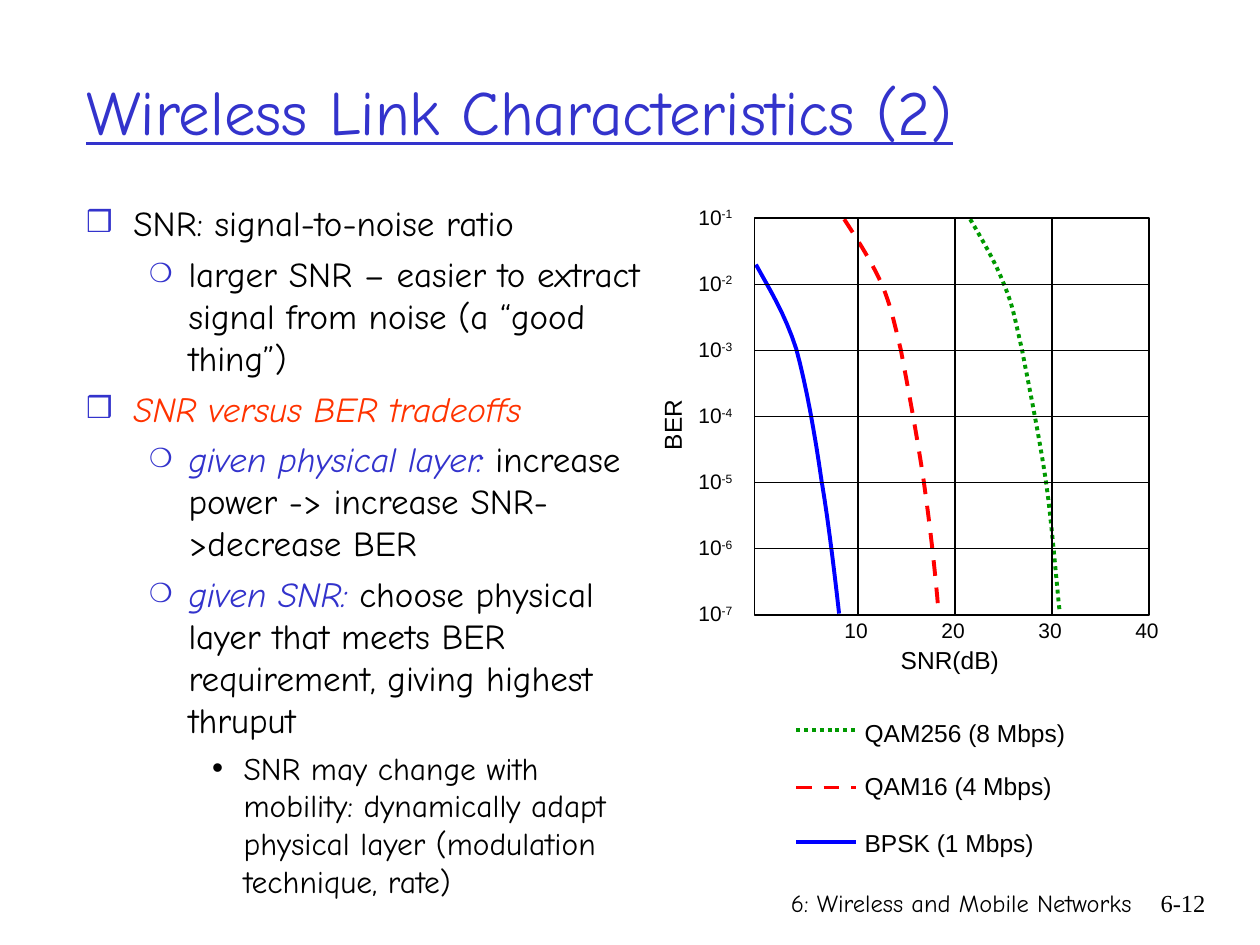
"""Build the slide on wireless link characteristics: SNR versus BER."""
from lxml.etree import SubElement
from pptx import Presentation
from pptx.dml.color import RGBColor
from pptx.enum.dml import MSO_LINE_DASH_STYLE as Dash
from pptx.enum.shapes import MSO_CONNECTOR, MSO_SHAPE
from pptx.enum.text import MSO_ANCHOR, MSO_AUTO_SIZE as Fit, PP_ALIGN as Align
from pptx.oxml.ns import qn
from pptx.util import Pt

COLORS = {"black": "000000", "indigo": "3333CC", "orange": "FF3300",
          "blue": "0000FF", "red": "FF0000", "green": "009900"}

prs = Presentation()
prs.slide_width, prs.slide_height = Pt(720), Pt(540)
slide = prs.slides.add_slide(prs.slide_layouts[1])
shapes = slide.shapes


def add_run(paragraph, text, size, font, color="black"):
    run = paragraph.add_run()
    run.text = text
    run.font.size, run.font.name = Pt(size), font
    run.font.color.rgb = RGBColor.from_string(COLORS[color])
    return run


def add_label(text, left, top, width, height, size=12, font="Arial", wrap=False):
    label = shapes.add_textbox(Pt(left), Pt(top), Pt(width), Pt(height))
    label.text_frame.word_wrap = wrap
    label.text_frame.auto_size = Fit.NONE if wrap else Fit.SHAPE_TO_FIT_TEXT
    paragraph = label.text_frame.paragraphs[0]
    paragraph.alignment = Align.RIGHT if wrap else Align.LEFT
    add_run(paragraph, text, size, font)
    return label


add_label("6: Wireless and Mobile Networks", 350, 504, 304, 36, 14, "Comic Neue", True)
add_label("6-12", 643, 504, 53, 36, 14, "Times New Roman", True)

title = shapes.title
title.left, title.top, title.width, title.height = Pt(42), Pt(18), Pt(612), Pt(90)
title.text_frame.vertical_anchor = MSO_ANCHOR.MIDDLE
title.text_frame.auto_size = Fit.NONE
heading = title.text_frame.paragraphs[0]
heading.alignment = Align.LEFT
add_run(heading, "Wireless Link Characteristics (2)", 36, "Comic Neue", "indigo").font.underline = True

body = slide.placeholders[1]
body.left, body.top, body.width, body.height = Pt(42), Pt(111.6), Pt(337), Pt(409)
body.text_frame.auto_size = Fit.NONE
levels = [
    dict(size=20, before=5, margin=27, hang=27, bullet="\u2752", color="indigo", percent=85),
    dict(size=20, before=5, margin=58.5, hang=22.5, bullet="\u274d", color="indigo", percent=75),
    dict(size=18, before=4.5, margin=90, hang=18, bullet="\u2022", color="black", percent=100),
]
points = [
    (0, [("SNR: signal-to-noise ratio", "black")]),
    (1, [("larger SNR – easier to extract signal from noise (a “good thing”)", "black")]),
    (0, [("SNR versus BER tradeoffs", "orange")]),
    (1, [("given physical layer:", "indigo"),
         (" increase power -> increase SNR->decrease BER", "black")]),
    (1, [("given SNR:", "indigo"),
         (" choose physical layer that meets BER requirement, giving highest thruput", "black")]),
    (2, [("SNR may change with mobility: dynamically adapt physical layer "
          "(modulation technique, rate)", "black")]),
]
for index, (level, parts) in enumerate(points):
    style = levels[level]
    point = body.text_frame.add_paragraph() if index else body.text_frame.paragraphs[0]
    point.level = level
    point.space_before = Pt(style["before"])
    for text, color in parts:
        add_run(point, text, style["size"], "Comic Neue", color).font.italic = color != "black"
    props = point._p.get_or_add_pPr()
    props.set("marL", str(Pt(style["margin"])))
    props.set("indent", str(-Pt(style["hang"])))
    SubElement(SubElement(props, qn("a:buClr")), qn("a:srgbClr")).set("val", COLORS[style["color"]])
    SubElement(props, qn("a:buSzPct")).set("val", str(style["percent"] * 1000))
    SubElement(props, qn("a:buChar")).set("char", style["bullet"])

curves = [
    ("blue", None, [(6, 2.1), (6.11, 2.3), (6.23, 2.49), (6.32, 2.77), (6.4, 3.06), (6.47, 3.46),
                    (6.52, 3.81), (6.58, 4.16), (6.64, 4.69), (6.66, 4.87)]),
    ("red", Dash.DASH, [(6.7, 1.74), (6.81, 1.91), (6.92, 2.08), (7, 2.26), (7.07, 2.43), (7.09, 2.53),
                        (7.15, 2.78), (7.2, 3.04), (7.28, 3.47), (7.33, 3.81), (7.38, 4.16),
                        (7.42, 4.51), (7.45, 4.87)]),
    ("green", Dash.ROUND_DOT, [(7.7, 1.74), (7.8, 1.91), (7.9, 2.08), (7.97, 2.26), (8.04, 2.43),
                               (8.05, 2.51), (8.11, 2.77), (8.16, 3.03), (8.25, 3.47), (8.3, 3.81),
                               (8.35, 4.16), (8.39, 4.68), (8.41, 4.85)]),
]
STEPS = 8
for color, dash, knots in curves:
    trace = [knots[0]]
    for first in range(0, len(knots) - 1, 3):
        bezier = knots[first:first + 4]
        for step in range(1, STEPS + 1):
            t = step / STEPS
            weights = ((1 - t) ** 3, 3 * t * (1 - t) ** 2, 3 * t * t * (1 - t), t ** 3)
            trace.append([sum(w * knot[axis] for w, knot in zip(weights, bezier)) for axis in (0, 1)])
    trace = [(Pt(x * 72), Pt(y * 72)) for x, y in trace]
    builder = shapes.build_freeform(*trace[0])
    builder.add_line_segments(trace[1:], close=False)
    curve = builder.convert_to_shape()
    curve.shadow.inherit = False
    curve.fill.background()
    curve.line.color.rgb = RGBColor.from_string(COLORS[color])
    curve.line.width = Pt(2.25)
    curve.line.dash_style = dash

LEFT, TOP, WIDTH, HEIGHT = 431.3, 124.6, 225.4, 226.8
RIGHT, BOTTOM = LEFT + WIDTH, TOP + HEIGHT
THIN = 0.74
frame = shapes.add_shape(MSO_SHAPE.RECTANGLE, Pt(LEFT), Pt(TOP), Pt(WIDTH), Pt(HEIGHT))
frame.shadow.inherit = False
frame.fill.background()
frame.line.color.rgb = RGBColor.from_string(COLORS["black"])
frame.line.width = Pt(THIN)

rows = [TOP + HEIGHT / 6 * i for i in range(7)]
columns = [490.3 + 55.4 * i for i in range(4)]
legend = [("QAM256 (8 Mbps)", "green", Dash.ROUND_DOT, 416.9, 406.8, 134),
          ("QAM16 (4 Mbps)", "red", Dash.DASH, 450, 437, 126),
          ("BPSK (1 Mbps)", "blue", None, 481, 469.4, 116)]
lines = [(LEFT, y, RIGHT, y, "black", THIN, None) for y in rows[1:-1]]
lines += [(x, TOP, x, BOTTOM, "black", THIN, None) for x in columns[:-1]]
lines += [(455, y, 489, y, color, 2.25, dash) for _, color, dash, y, _, _ in legend]
for x1, y1, x2, y2, color, weight, dash in lines:
    line = shapes.add_connector(MSO_CONNECTOR.STRAIGHT, Pt(x1), Pt(y1), Pt(x2), Pt(y2))
    line.line.color.rgb = RGBColor.from_string(COLORS[color])
    line.line.width = Pt(weight)
    line.line.dash_style = dash
    SubElement(line._element.spPr, qn("a:effectLst"))

for text, _, _, _, top, width in legend:
    add_label(text, 487, top, width, 24.5, 14)
for i, x in enumerate(columns):
    add_label(str(10 * (i + 1)), x - 14.8, 349.5, 31, 21.6)
for i, y in enumerate(rows):
    tick = add_label("10", 392, y - 11.5, 36, 21.6)
    exponent = add_run(tick.text_frame.paragraphs[0], f"-{i + 1}", 12, "Arial")
    exponent.font._element.set("baseline", "30000")
add_label("SNR(dB)", 507.6, 365, 74, 24.5, 14)
add_label("BER", 361.4, 229, 46, 24.5, 14).rotation = 270

prs.save("out.pptx")
